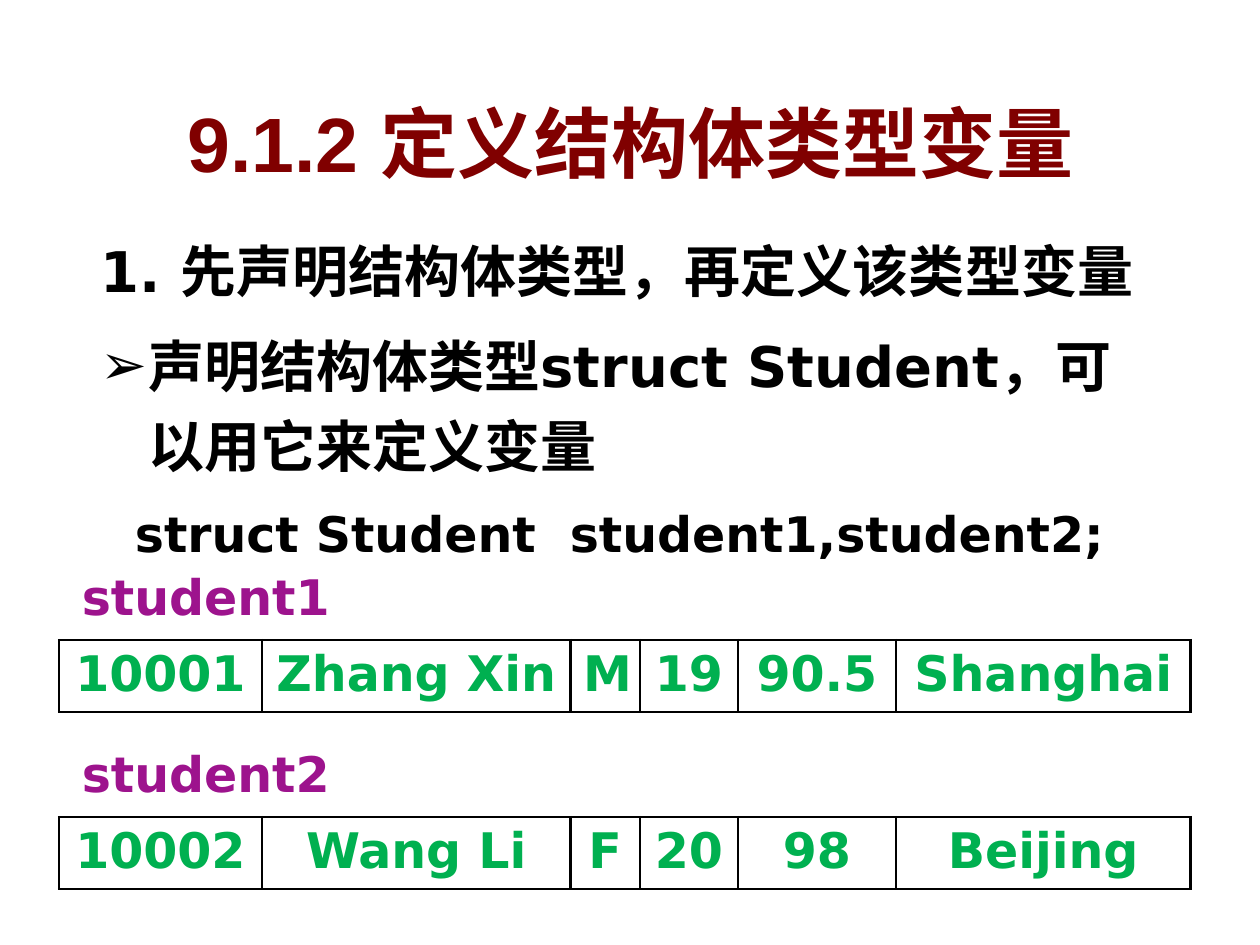
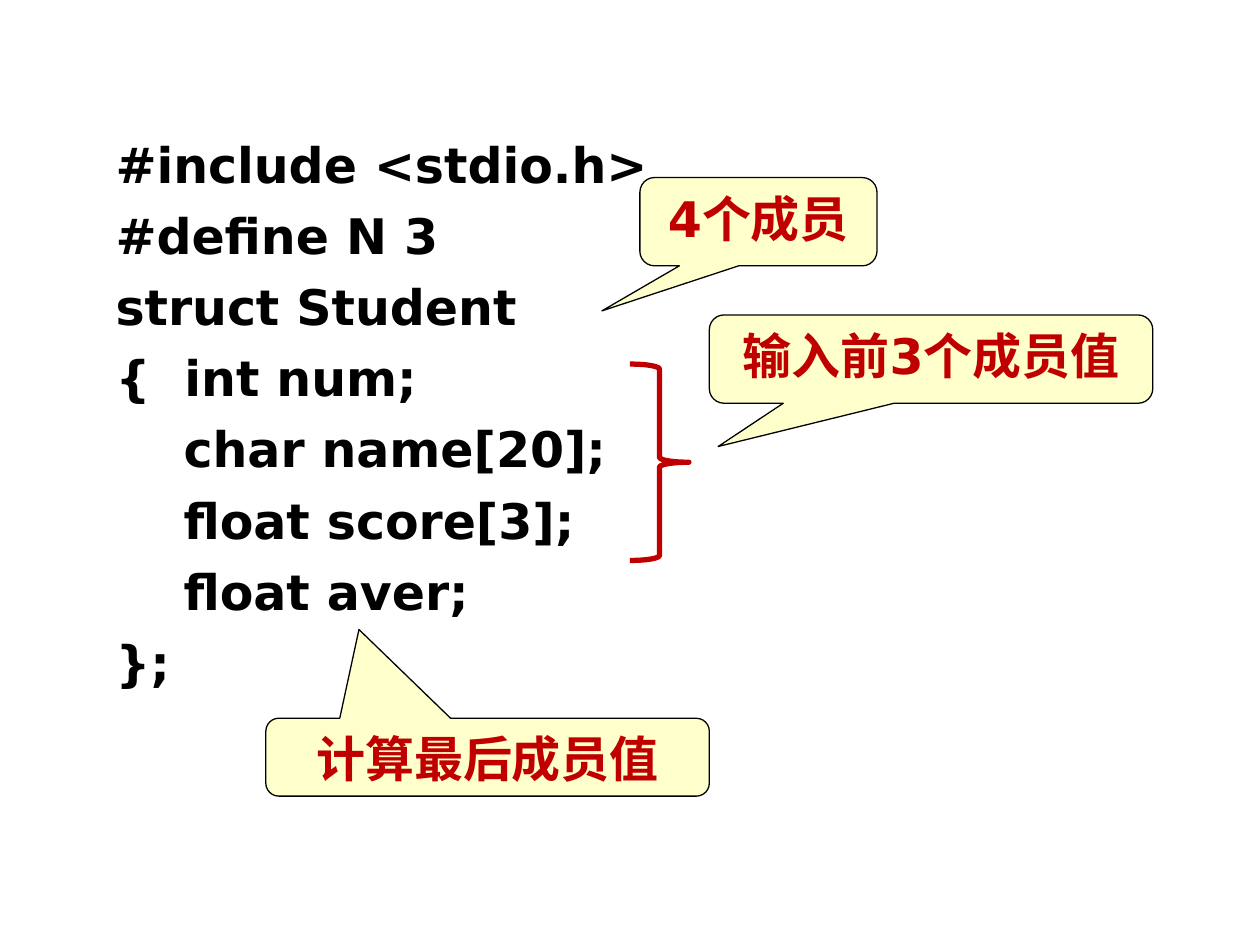
from lxml.etree import SubElement
from pptx import Presentation
from pptx.dml.color import RGBColor
from pptx.enum.shapes import MSO_SHAPE
from pptx.enum.text import MSO_ANCHOR, MSO_AUTO_SIZE, PP_ALIGN
from pptx.oxml import parse_xml
from pptx.oxml.ns import nsdecls, qn
from pptx.util import Cm, Pt

MAROON = RGBColor(0x80, 0x00, 0x00)
BLACK = RGBColor(0x00, 0x00, 0x00)
WHITE = RGBColor(0xFF, 0xFF, 0xFF)
GREEN = RGBColor(0x00, 0xB0, 0x50)
PURPLE = RGBColor(0x9D, 0x13, 0x8D)
RED = RGBColor(0xC0, 0x00, 0x00)
CREAM = RGBColor(0xFF, 0xFF, 0xCC)

HEAD_FONT = "Arial"
TEXT_FONT = "DejaVu Sans"
HANG = Cm(0.95)
WIDTHS = (4.09, 6.22, 1.4, 1.98, 3.18, 5.94)
ROW = 1.45
SHADE = (
    f'<a:effectLst {nsdecls("a")}>'
    '<a:outerShdw blurRad="0" dist="53882" dir="2700000">'
    '<a:srgbClr val="C0C0C0"/></a:outerShdw></a:effectLst>'
)

BODY = (
    ("1. 先声明结构体类型，再定义该类型变量", 32, 8, None),
    ("声明结构体类型struct Student，可以用它来定义变量", 32, 8, "➢"),
    ("  struct Student  student1,student2;", 28, 7, None),
)
RECORDS = (
    ("student1", ("10001", "Zhang Xin", "M", "19", "90.5", "Shanghai")),
    ("student2", ("10002", "Wang Li", "F", "20", "98", "Beijing")),
)
CODE = (
    "#include <stdio.h>",
    "#define N 3",
    "struct Student",
    "{  int num;",
    "    char name[20];",
    "    float score[3];",
    "    float aver;",
    "};",
)
CALLOUTS = (
    ("4个成员", (12.9, 3.58, 4.78, 1.78), (-0.66, 1.01)),
    ("输入前3个成员值", (14.3, 6.35, 8.94, 1.78), (-0.48, 0.99)),
    ("计算最后成员值", (5.36, 14.48, 8.94, 1.57), (-0.29, -1.64)),
)


def cms(box):
    return [Cm(side) for side in box]


def place(shape, box):
    shape.left, shape.top, shape.width, shape.height = cms(box)


def write(para, text, color, size=28, font=TEXT_FONT):
    run = para.add_run()
    run.text = text
    run.font.size = Pt(size)
    run.font.bold = True
    run.font.name = font
    run.font.color.rgb = color
    return run


def set_hang(para, mark=None):
    props = para._p.get_or_add_pPr()
    props.set("marL", str(HANG))
    props.set("indent", str(-HANG))
    if mark:
        tint = SubElement(props, qn("a:buClr"))
        SubElement(tint, qn("a:srgbClr"), val=str(BLACK))
        SubElement(props, qn("a:buChar"), char=mark)
    else:
        SubElement(props, qn("a:buNone"))


def add_lines(frame, lines, space=1.0):
    frame.word_wrap = True
    frame.auto_size = MSO_AUTO_SIZE.NONE
    for i, (text, size, gap, mark) in enumerate(lines):
        para = frame.add_paragraph() if i else frame.paragraphs[0]
        set_hang(para, mark)
        para.line_spacing = space
        para.space_before = Pt(gap if i else 0)
        write(para, text, BLACK, size)


def add_title(slide, text):
    title = slide.shapes.title
    place(title, (0.41, 1.8, 24.61, 2.13))
    frame = title.text_frame
    frame.auto_size = MSO_AUTO_SIZE.NONE
    frame.vertical_anchor = MSO_ANCHOR.MIDDLE
    para = frame.paragraphs[0]
    para.alignment = PP_ALIGN.CENTER
    run = write(para, text, MAROON, 44, HEAD_FONT)
    fill = run._r.rPr.find(qn("a:solidFill"))
    fill.addnext(parse_xml(SHADE))


def add_label(slide, text, left, top):
    box = slide.shapes.add_textbox(*cms((left, top, 5.94, ROW)))
    box.text_frame.word_wrap = True
    write(box.text_frame.paragraphs[0], text, PURPLE)


def set_edge(cell):
    props = cell._tc.get_or_add_tcPr()
    for i, side in enumerate(("lnL", "lnR", "lnT", "lnB")):
        props.insert(i, parse_xml(
            f'<a:{side} {nsdecls("a")} w="{Pt(1.47)}"><a:solidFill>'
            f'<a:srgbClr val="{BLACK}"/></a:solidFill></a:{side}>'
        ))


def add_record(slide, values, left, top):
    box = cms((left, top, sum(WIDTHS), ROW))
    table = slide.shapes.add_table(1, len(values), *box).table
    table.first_row = table.horz_banding = False
    for i, (text, width) in enumerate(zip(values, WIDTHS)):
        table.columns[i].width = Cm(width)
        cell = table.cell(0, i)
        cell.fill.solid()
        cell.fill.fore_color.rgb = WHITE
        set_edge(cell)
        para = cell.text_frame.paragraphs[0]
        para.alignment = PP_ALIGN.CENTER
        write(para, text, GREEN)


def add_callout(slide, text, box, tip):
    kind = MSO_SHAPE.ROUNDED_RECTANGULAR_CALLOUT
    shape = slide.shapes.add_shape(kind, *cms(box))
    shape.shadow.inherit = False
    shape.adjustments[0], shape.adjustments[1] = tip
    shape.fill.solid()
    shape.fill.fore_color.rgb = CREAM
    shape.line.color.rgb = BLACK
    shape.line.width = Pt(0.75)
    frame = shape.text_frame
    frame.word_wrap = False
    frame.vertical_anchor = MSO_ANCHOR.TOP
    para = frame.paragraphs[0]
    para.alignment = PP_ALIGN.CENTER
    write(para, text, RED)


def add_brace(slide, box):
    brace = slide.shapes.add_shape(MSO_SHAPE.RIGHT_BRACE, *cms(box))
    brace.shadow.inherit = False
    brace.fill.background()
    brace.line.color.rgb = RED
    brace.line.width = Pt(3)


def build_types(deck):
    slide = deck.slides.add_slide(deck.slide_layouts[1])
    add_title(slide, "9.1.2 定义结构体类型变量")
    body = slide.placeholders[1]
    place(body, (1.78, 4.37, 21.82, 9.32))
    add_lines(body.text_frame, BODY, 1.2)
    for i, (name, values) in enumerate(RECORDS):
        top = 12.9 + 3.57 * i
        add_record(slide, values, 1.19, top)
        add_label(slide, name, 1.4, top - 1.6)


def build_code(deck):
    slide = deck.slides.add_slide(deck.slide_layouts[6])
    code = slide.shapes.add_textbox(*cms((2.08, 2.59, 18.34, 13.11)))
    add_lines(code.text_frame, [(line, 28, 7, None) for line in CODE])
    add_brace(slide, (12.7, 7.34, 1.19, 3.96))
    for text, box, tip in CALLOUTS:
        add_callout(slide, text, box, tip)


def main():
    deck = Presentation()
    deck.slide_width, deck.slide_height = Cm(25.4), Cm(19.05)
    build_types(deck)
    build_code(deck)
    deck.save("out.pptx")


if __name__ == "__main__":
    main()
